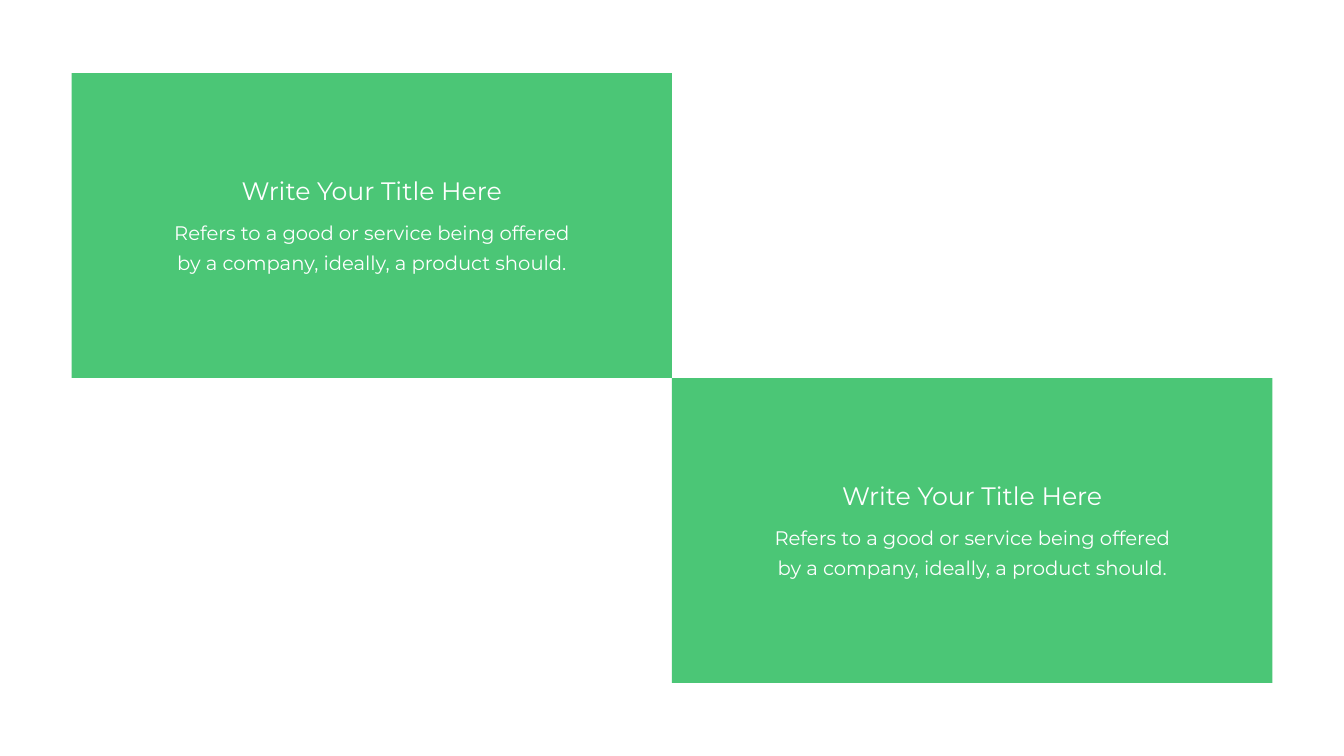
from dataclasses import dataclass

from pptx import Presentation
from pptx.dml.color import RGBColor
from pptx.enum import shapes, text
from pptx.util import Inches, Pt


@dataclass(frozen=True)
class Theme:
    font: str = "Montserrat"
    card: RGBColor = RGBColor(0x4B, 0xC6, 0x76)
    ink: RGBColor = RGBColor(0xFF, 0xFF, 0xFF)
    title_size: int = 36
    body_size: int = 28
    body_leading: int = 43


@dataclass(frozen=True)
class Card:
    column: int
    row: int
    title: str
    body: str


THEME = Theme()
SLIDE_W, SLIDE_H = 26.66, 15
CARD_W, CARD_H = 11.91, 6.05
GRID_LEFT, GRID_TOP = 1.42, 1.45
TITLE_W, TITLE_H, TITLE_DROP = 6.1, 0.71, 1.98
BODY_W, BODY_H = 8.52, 1.39

BODY = "Refers to a good or service being offered by a company, ideally, a product should."
CARDS = [
    Card(0, 0, "Write Your Title Here", BODY),
    Card(1, 1, "Write Your Title Here", BODY),
]


def add_label(s, words: str, center: float, top: float, width: float, height: float,
              size: int, inset: tuple[float, float] = (0.1, 0.05),
              leading: int | None = None) -> None:
    """Add a centred text box around a horizontal centre, in inches."""
    sp = s.shapes.add_textbox(Inches(center - width / 2), Inches(top),
                              Inches(width), Inches(height))
    tf = sp.text_frame
    tf.word_wrap = True
    tf.auto_size = text.MSO_AUTO_SIZE.SHAPE_TO_FIT_TEXT
    tf.margin_left = tf.margin_right = Inches(inset[0])
    tf.margin_top = tf.margin_bottom = Inches(inset[1])
    p = tf.paragraphs[0]
    p.alignment = text.PP_ALIGN.CENTER
    if leading:
        p.line_spacing = Pt(leading)
    r = p.add_run()
    r.text = words
    r.font.name = THEME.font
    r.font.size = Pt(size)
    r.font.color.rgb = THEME.ink


def add_card(s, card: Card) -> None:
    left = GRID_LEFT + card.column * CARD_W
    top = GRID_TOP + card.row * CARD_H
    sp = s.shapes.add_shape(shapes.MSO_SHAPE.RECTANGLE, Inches(left), Inches(top),
                            Inches(CARD_W), Inches(CARD_H))
    sp.shadow.inherit = False
    sp.fill.solid()
    sp.fill.fore_color.rgb = THEME.card
    sp.line.fill.background()

    center = left + CARD_W / 2
    title_top = top + TITLE_DROP
    add_label(s, card.body, center, title_top + TITLE_H, BODY_W, BODY_H,
              THEME.body_size, (0.24, 0.12), THEME.body_leading)
    add_label(s, card.title, center, title_top, TITLE_W, TITLE_H, THEME.title_size)


def main() -> None:
    prs = Presentation()
    prs.slide_width, prs.slide_height = Inches(SLIDE_W), Inches(SLIDE_H)
    s = prs.slides.add_slide(prs.slide_layouts.get_by_name("Blank"))
    for card in CARDS:
        add_card(s, card)
    prs.save("out.pptx")


if __name__ == "__main__":
    main()
